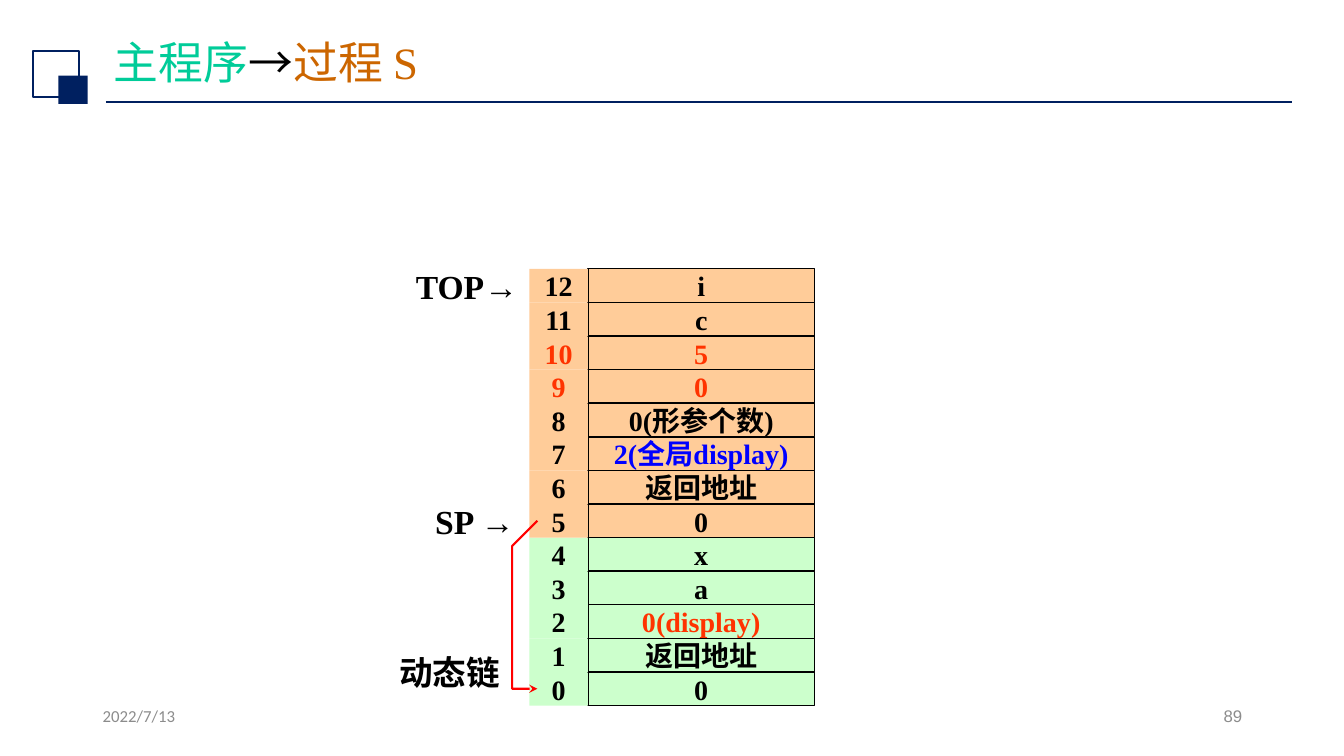
from dataclasses import dataclass
from typing import Any

from pptx import Presentation
from pptx import util as u
from pptx.dml.color import RGBColor
from pptx.enum import shapes, text
from pptx.oxml import ns
from lxml import etree

NAVY = RGBColor(0x00, 0x20, 0x60)
BLACK = RGBColor(0, 0, 0)
GREY = RGBColor(0x8C, 0x8C, 0x8C)
TEAL = RGBColor(0x00, 0xCC, 0x99)
BROWN = RGBColor(0xCC, 0x66, 0x00)
RED = RGBColor(0xFF, 0, 0)
ORANGE_RED = RGBColor(0xFF, 0x33, 0)
BLUE = RGBColor(0, 0, 0xFF)
MAIN_FILL = RGBColor(0xCC, 0xFF, 0xCC)
PROCEDURE_FILL = RGBColor(0xFF, 0xCC, 0x99)

SERIF = "Times New Roman"
STACK_BOTTOM = 7.0
ROW_HEIGHT = 1 / 3
ADDRESS_LEFT, ADDRESS_WIDTH = 5.25, 0.58
VALUE_LEFT, VALUE_WIDTH = 5.83, 2.25
SP_ADDRESS = 5
CELL_FRAME = {"margin_top": 0, "margin_bottom": 0, "word_wrap": False,
              "vertical_anchor": text.MSO_ANCHOR.MIDDLE}
LABEL_FRAME = {"word_wrap": False, "vertical_anchor": text.MSO_ANCHOR.MIDDLE}
FOOTER_FRAME = {"word_wrap": True}


@dataclass
class StackCell:
    value: str
    value_color: RGBColor = BLACK
    address_color: RGBColor = BLACK


@dataclass
class Label:
    wording: str
    left: float
    top: float
    width: float
    height: float
    size: float
    font: str
    color: RGBColor
    bold: bool
    alignment: Any
    frame: dict


STACK = [
    StackCell("0"),
    StackCell("返回地址"),
    StackCell("0(display)", ORANGE_RED),
    StackCell("a"),
    StackCell("x"),
    StackCell("0"),
    StackCell("返回地址"),
    StackCell("2(全局display)", BLUE),
    StackCell("0(形参个数)"),
    StackCell("0", ORANGE_RED, ORANGE_RED),
    StackCell("5", ORANGE_RED, ORANGE_RED),
    StackCell("c"),
    StackCell("i"),
]


def row_top(address: int) -> float:
    return STACK_BOTTOM - (address + 1) * ROW_HEIGHT


def pointer_label(wording: str, left: float, top: float) -> Label:
    return Label(wording, left, top, 1.42, ROW_HEIGHT, 24, SERIF, BLACK, True,
                 text.PP_ALIGN.CENTER, LABEL_FRAME)


def footer_label(wording: str, left: float, font: str, alignment: Any) -> Label:
    return Label(wording, left, 6.95, 3, 0.4, 12, font, GREY, False,
                 alignment, FOOTER_FRAME)


LABELS = [
    footer_label("2022/7/13", 0.92, "Calibri", text.PP_ALIGN.LEFT),
    footer_label("89", 9.42, "Arial", text.PP_ALIGN.RIGHT),
    pointer_label("TOP→", 3.92, row_top(len(STACK) - 1)),
    pointer_label("SP →", 4, row_top(SP_ADDRESS)),
    pointer_label("动态链", 3.75, 6.5),
]


def apply_format(target: Any, values: dict) -> None:
    for name, value in values.items():
        setattr(target, name, value)


def add_run(paragraph: Any, wording: str, size: float, font: str,
            color: RGBColor, bold: bool) -> None:
    run = paragraph.add_run()
    run.text = wording
    apply_format(run.font, {"size": u.Pt(size), "name": font, "bold": bold})
    run.font.color.rgb = color


def add_rectangle(container: Any, left: float, top: float, width: float, height: float,
                  fill: RGBColor | None, line: RGBColor | None,
                  line_width: float = 1) -> Any:
    shape = container.add_shape(shapes.MSO_SHAPE.RECTANGLE, u.Inches(left), u.Inches(top),
                                u.Inches(width), u.Inches(height))
    shape.shadow.inherit = False
    if fill is None:
        shape.fill.background()
    else:
        shape.fill.solid()
        shape.fill.fore_color.rgb = fill
    if line is None:
        shape.line.fill.background()
    else:
        shape.line.color.rgb = line
        shape.line.width = u.Pt(line_width)
    return shape


def add_label(slide: Any, label: Label) -> None:
    box = slide.shapes.add_textbox(u.Inches(label.left), u.Inches(label.top),
                                   u.Inches(label.width), u.Inches(label.height))
    apply_format(box.text_frame, label.frame)
    paragraph = box.text_frame.paragraphs[0]
    paragraph.alignment = label.alignment
    add_run(paragraph, label.wording, label.size, label.font, label.color, label.bold)


def add_title(slide: Any) -> None:
    title = slide.shapes.title
    apply_format(title, {"left": u.Inches(1.03), "top": u.Inches(0.34),
                         "width": u.Inches(11.5), "height": u.Inches(0.61)})
    apply_format(title.text_frame, {"vertical_anchor": text.MSO_ANCHOR.MIDDLE,
                                    "word_wrap": True,
                                    "auto_size": text.MSO_AUTO_SIZE.NONE})
    paragraph = title.text_frame.paragraphs[0]
    apply_format(paragraph, {"alignment": text.PP_ALIGN.LEFT, "line_spacing": 0.9})
    for wording, color in (("主程序", TEAL), ("→", BLACK), ("过程 S", BROWN)):
        add_run(paragraph, wording, 32, SERIF, color, False)


def add_header(slide: Any) -> None:
    rule = slide.shapes.add_connector(shapes.MSO_CONNECTOR.STRAIGHT, u.Inches(1.05),
                                      u.Inches(1.01), u.Inches(12.81), u.Inches(1.01))
    rule.line.color.rgb = NAVY
    rule.line.width = u.Pt(1.25)
    etree.SubElement(rule._element.spPr, ns.qn("a:effectLst"))
    emblem = slide.shapes.add_group_shape().shapes
    add_rectangle(emblem, 0.33, 0.51, 0.45, 0.45, None, NAVY, 1.5)
    add_rectangle(emblem, 0.58, 0.75, 0.29, 0.28, NAVY, None)


def add_stack_row(slide: Any, address: int, cell: StackCell) -> None:
    row = slide.shapes.add_group_shape().shapes
    fill = MAIN_FILL if address < SP_ADDRESS else PROCEDURE_FILL
    for wording, color, left, width, line in (
        (cell.value, cell.value_color, VALUE_LEFT, VALUE_WIDTH, BLACK),
        (str(address), cell.address_color, ADDRESS_LEFT, ADDRESS_WIDTH, None),
    ):
        shape = add_rectangle(row, left, row_top(address), width, ROW_HEIGHT, fill, line)
        apply_format(shape.text_frame, CELL_FRAME)
        paragraph = shape.text_frame.paragraphs[0]
        paragraph.alignment = text.PP_ALIGN.CENTER
        add_run(paragraph, wording, 20, SERIF, color, True)


def add_dynamic_link(slide: Any) -> None:
    start = row_top(SP_ADDRESS) + ROW_HEIGHT / 2
    end = row_top(0) + ROW_HEIGHT / 2
    points = [(u.Inches(x), u.Inches(y)) for x, y in
              ((5.33, start), (5.08, start + 0.25), (5.08, end), (5.33, end))]
    builder = slide.shapes.build_freeform(*points[0])
    builder.add_line_segments(points[1:], close=False)
    link = builder.convert_to_shape()
    link.shadow.inherit = False
    link.fill.background()
    link.line.color.rgb = RED
    link.line.width = u.Pt(1.5)
    etree.SubElement(link.line._get_or_add_ln(), ns.qn("a:tailEnd"), type="stealth")


def main() -> None:
    presentation = Presentation()
    presentation.slide_width = u.Inches(13.33)
    presentation.slide_height = u.Inches(7.5)
    slide = presentation.slides.add_slide(presentation.slide_layouts[5])
    add_header(slide)
    add_title(slide)
    for address, cell in enumerate(STACK):
        add_stack_row(slide, address, cell)
    for label in LABELS:
        add_label(slide, label)
    add_dynamic_link(slide)
    presentation.save("out.pptx")


if __name__ == "__main__":
    main()
